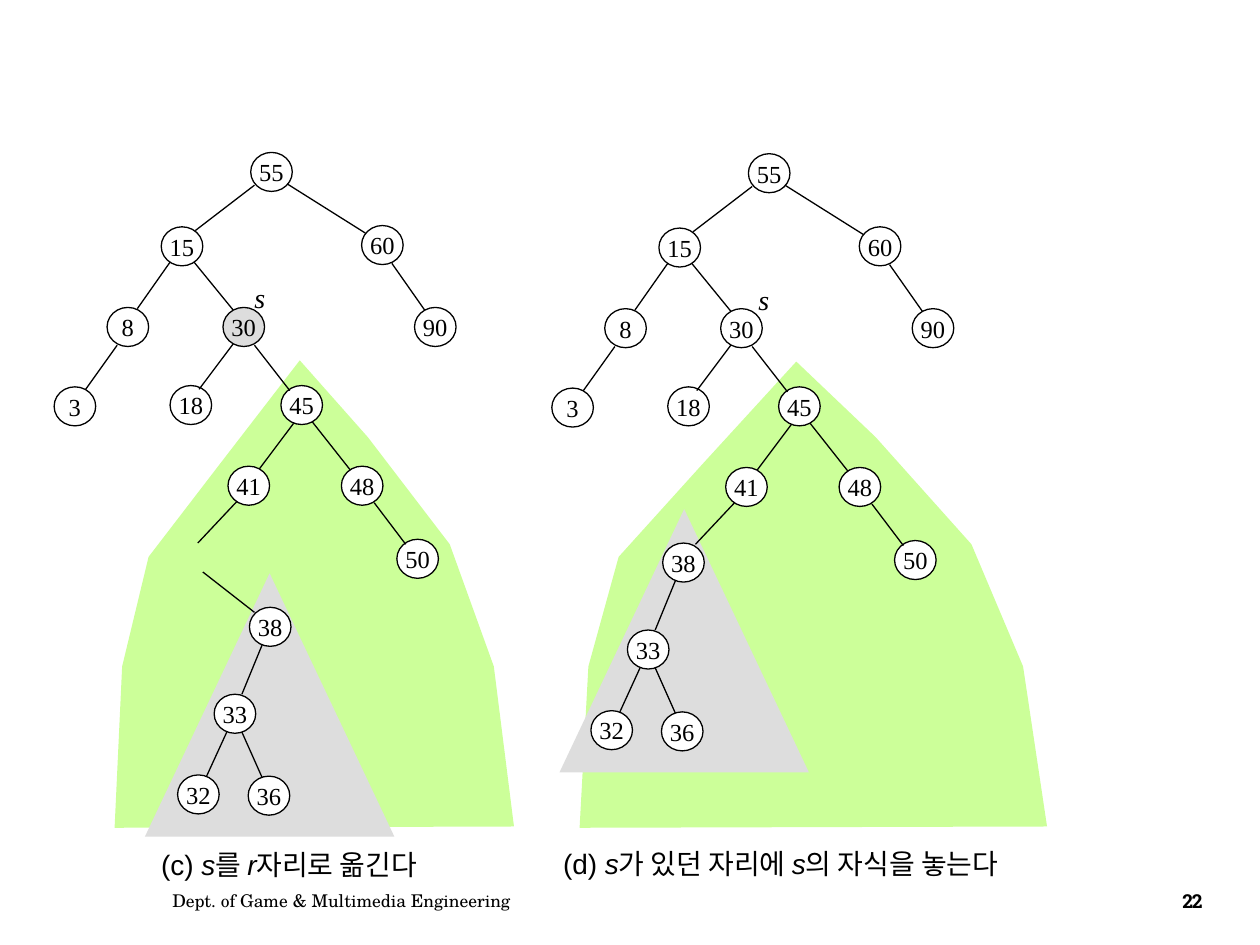
from dataclasses import dataclass

from lxml import etree
from pptx import Presentation
from pptx.dml.color import RGBColor
from pptx.enum.shapes import MSO_CONNECTOR, MSO_SHAPE
from pptx.enum.text import MSO_ANCHOR, MSO_AUTO_SIZE, PP_ALIGN
from pptx.oxml.ns import qn
from pptx.util import Pt

OVAL, TRIANGLE = MSO_SHAPE.OVAL, MSO_SHAPE.ISOSCELES_TRIANGLE
STRAIGHT = MSO_CONNECTOR.STRAIGHT
MIDDLE, CENTER, LEFT = MSO_ANCHOR.MIDDLE, PP_ALIGN.CENTER, PP_ALIGN.LEFT
FIT = MSO_AUTO_SIZE.SHAPE_TO_FIT_TEXT
PX = 9144  # EMU per px, 100 px to the inch


@dataclass(frozen=True)
class Theme:
    ink: RGBColor = RGBColor(0, 0, 0)
    paper: RGBColor = RGBColor(255, 255, 255)
    region: RGBColor = RGBColor(0xCC, 0xFF, 0x99)
    moved: RGBColor = RGBColor(0xDD, 0xDD, 0xDD)
    line: Pt = Pt(0.75)
    node: Pt = Pt(14)
    caption: Pt = Pt(16)
    footer: Pt = Pt(10)
    number: Pt = Pt(11)


T = Theme()
NODE_W, NODE_H = 33, 31

# Left and top of each node, and both ends of each edge, in tree (c)
TREE_NODES = {
    "55": (199, 121), "30": (177, 244), "8": (85, 244), "60": (287, 179),
    "15": (128, 180), "90": (329, 244), "48": (271, 370), "45": (223, 306),
    "18": (135, 306), "41": (181, 370), "3": (43, 307), "50": (315, 428),
}
TREE_EDGES = [
    (202, 147, 155, 183), (228, 146, 290, 185), (135, 208, 109, 245),
    (154, 208, 185, 246), (311, 209, 337, 246), (93, 274, 68, 309),
    (185, 273, 158, 309), (202, 274, 230, 310), (233, 336, 206, 372),
    (248, 335, 278, 373), (297, 399, 322, 432), (188, 398, 157, 431),
]
SUBTREE_NODES = {"38": (198, 482), "33": (170, 551), "32": (141, 615), "36": (197, 616)}
SUBTREE_EDGES = [(208, 512, 192, 551), (180, 581, 164, 616), (192, 581, 208, 617)]

PANELS = [
    dict(region=[(632, 287), (557, 369), (491, 442), (467, 529), (460, 657),
                 (831, 656), (812, 529), (771, 432), (695, 347)],
         triangle=(444, 404), tree_shift=(395, 1), subtree_shift=(328, -51),
         s_fill=T.paper, loose_edges=[], s_label=(592, 219),
         caption_box=(437, 667, 418, 37),
         caption=["(d) ", "s", "가 있던 자리에 ", "s", "의 자식을 놓는다"]),
    dict(region=[(238, 286), (174, 369), (118, 442), (97, 529), (91, 657),
                 (408, 656), (392, 529), (357, 432), (292, 347)],
         triangle=(115, 455), tree_shift=(0, 0), subtree_shift=(0, 0),
         s_fill=T.moved, loose_edges=[(161, 454, 202, 486)], s_label=(192, 218),
         caption_box=(118, 668, 250, 37),
         caption=["(c) ", "s", "를 ", "r", "자리로 옮긴다"]),
]

prs = Presentation()
prs.slide_width, prs.slide_height = 1000 * PX, 750 * PX
shapes = prs.slides.add_slide(prs.slide_layouts[6]).shapes


def add_filled(kind, x, y, w, h, color):
    sp = shapes.add_shape(kind, x * PX, y * PX, w * PX, h * PX)
    sp.shadow.inherit = False
    sp.fill.solid()
    sp.fill.fore_color.rgb = color
    sp.line.fill.background()
    return sp


def write(sp, parts, font, size, align=LEFT, wrap=False):
    """Put parts into a shape as one paragraph; every second part is italic."""
    tf = sp.text_frame
    tf.word_wrap = wrap
    p = tf.paragraphs[0]
    p.alignment = align
    p.font.name, p.font.size, p.font.color.rgb = font, size, T.ink
    for i, part in enumerate(parts):
        r = p.add_run()
        r.text = part
        r.font.name, r.font.size, r.font.color.rgb = font, size, T.ink
        r.font.italic = i % 2 == 1
    return tf


for panel in PANELS:
    builder = shapes.build_freeform(*panel["region"][0], scale=PX)
    builder.add_line_segments(panel["region"][1:], close=True)
    region = builder.convert_to_shape()
    region.shadow.inherit = False
    region.fill.solid()
    region.fill.fore_color.rgb = T.region
    region.line.fill.background()
    add_filled(TRIANGLE, *panel["triangle"], 198, 209, T.moved)

    groups = [
        (TREE_NODES, TREE_EDGES + panel["loose_edges"], panel["tree_shift"]),
        (SUBTREE_NODES, SUBTREE_EDGES, panel["subtree_shift"]),
    ]
    for nodes, edges, (dx, dy) in groups:
        for key, (x, y) in nodes.items():
            color = panel["s_fill"] if key == "30" else T.paper
            node = add_filled(OVAL, x + dx, y + dy, NODE_W, NODE_H, color)
            node.line.color.rgb = T.ink
            node.line.width = T.line
            tf = write(node, [key], "Times New Roman", T.node, CENTER)
            tf.vertical_anchor = MIDDLE
        for x1, y1, x2, y2 in edges:
            edge = shapes.add_connector(STRAIGHT, (x1 + dx) * PX, (y1 + dy) * PX,
                                        (x2 + dx) * PX, (y2 + dy) * PX)
            edge.line.color.rgb = T.ink
            edge.line.width = T.line
            etree.SubElement(edge._element.spPr, qn("a:effectLst"))

    x, y = panel["s_label"]
    label = shapes.add_textbox(x * PX, y * PX, 29 * PX, 37 * PX)
    tf = write(label, ["s"], "Times New Roman", T.caption)
    tf.paragraphs[0].runs[0].font.italic = True
    tf.auto_size = FIT

    caption = shapes.add_textbox(*(v * PX for v in panel["caption_box"]))
    write(caption, panel["caption"], "Arial", T.caption).auto_size = FIT

footer = shapes.add_textbox(127 * PX, 695 * PX, 459 * PX, 40 * PX)
tf = write(footer, ["Dept. of Game & Multimedia Engineering"], "TeX Gyre Schola",
           T.footer, wrap=True)
tf.vertical_anchor = MIDDLE

number = shapes.add_textbox(920 * PX, 695 * PX, 53 * PX, 40 * PX)
tf = write(number, ["22"], "Roboto Slab", T.number, CENTER, wrap=True)
tf.vertical_anchor = MIDDLE
r = tf.paragraphs[0].runs[0]
r.font.bold = True
r._r.get_or_add_rPr().set("spc", "-70")

prs.save("out.pptx")
